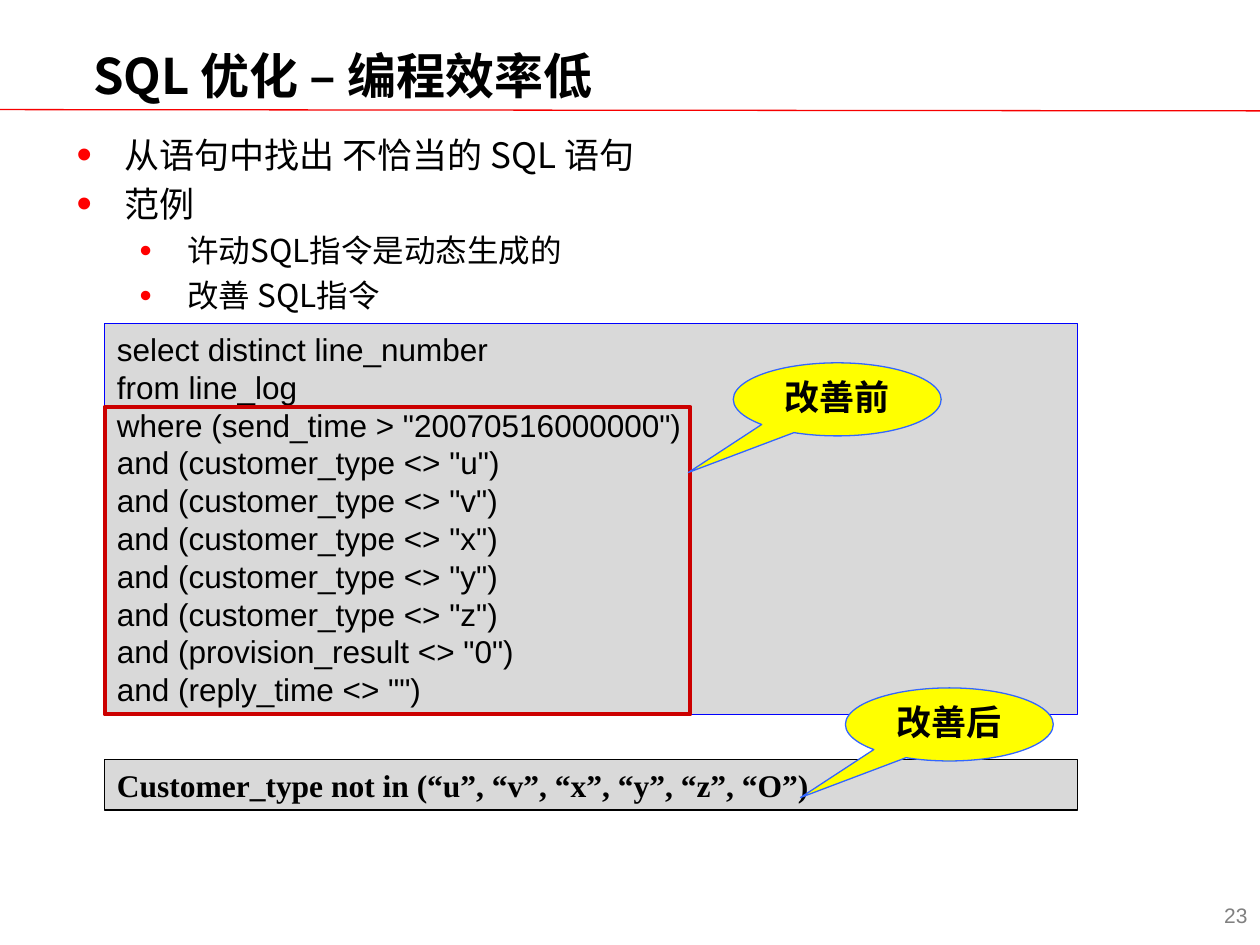
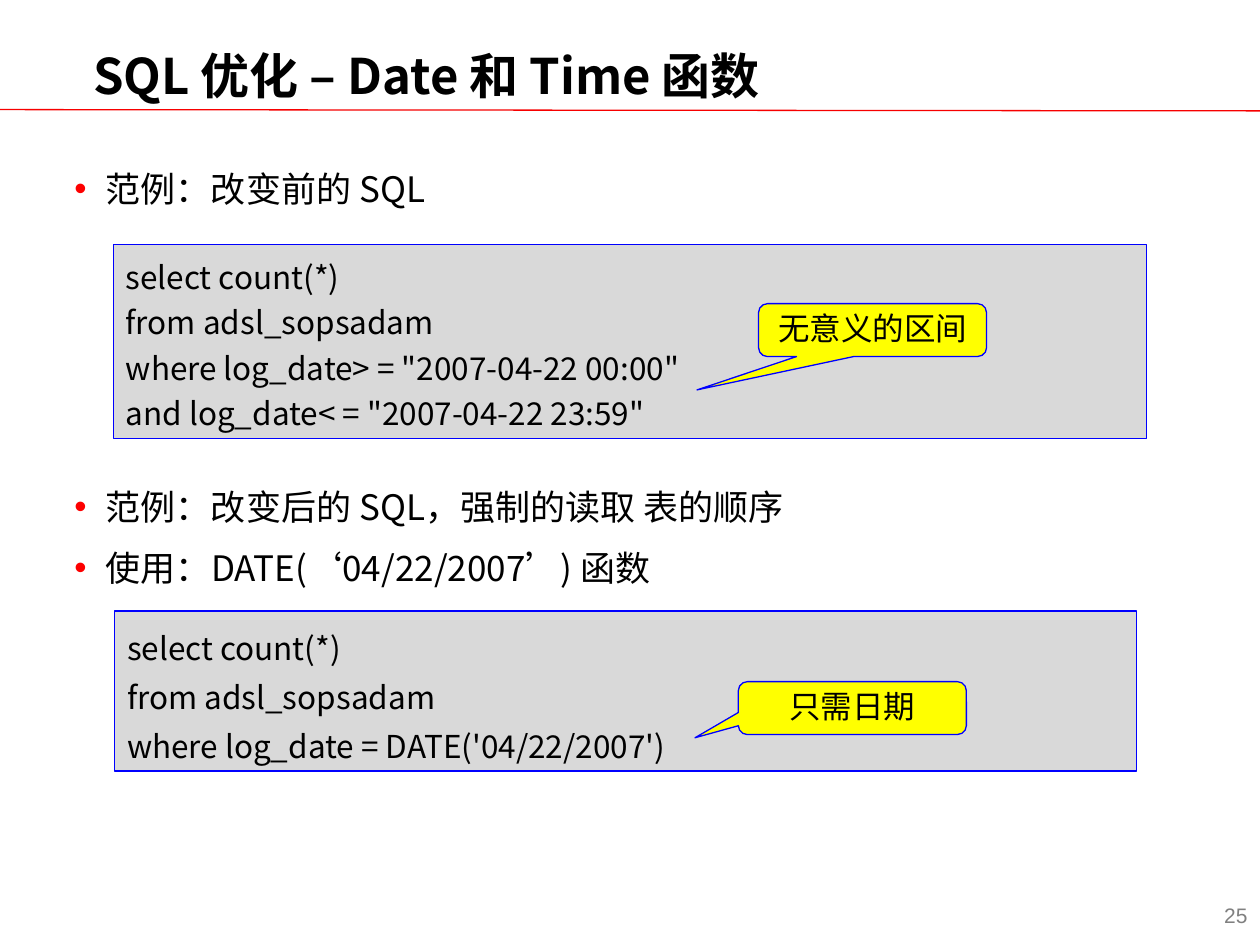
from lxml.etree import SubElement
from pptx import Presentation
from pptx.dml.color import RGBColor
from pptx.enum.shapes import MSO_CONNECTOR, MSO_SHAPE
from pptx.enum.text import MSO_ANCHOR, PP_ALIGN
from pptx.oxml.ns import qn
from pptx.util import Inches, Pt

SANS = "Noto Sans CJK SC"
BLACK, GREY, GOLD, BLUE = "000000", "D9D9D9", "FFFF00", "0000FF"
BOX = MSO_SHAPE.RECTANGLE
OVAL = MSO_SHAPE.OVAL_CALLOUT
ROUND = MSO_SHAPE.ROUNDED_RECTANGULAR_CALLOUT


def hue(code):
    return RGBColor.from_string(code)


def put(text, at, kind=None, fill=None, line=None, width=0.75, adj=(),
        size=18, face=SANS, color=BLACK, bold=False, align=PP_ALIGN.LEFT,
        anchor=MSO_ANCHOR.TOP, pad=(0.1, 0.05), lead=1, gap=0,
        dot=None, hang=0, zoom=None):
    """Place text; a list holds (level, text) paragraphs."""
    spot = [Inches(n) for n in at]
    if kind is None:
        shape = page.shapes.add_textbox(*spot)
    else:
        shape = page.shapes.add_shape(kind, *spot)
        shape.shadow.inherit = False
        if fill:
            shape.fill.solid()
            shape.fill.fore_color.rgb = hue(fill)
        else:
            shape.fill.background()
        shape.line.color.rgb = hue(line)
        shape.line.width = Pt(width)
        for i, n in enumerate(adj):
            shape.adjustments[i] = n
    if not text:
        return
    frame = shape.text_frame
    frame.word_wrap = True
    frame.vertical_anchor = anchor
    frame.margin_left = frame.margin_right = Inches(pad[0])
    frame.margin_top = frame.margin_bottom = Inches(pad[1])
    rows = [(0, text)] if isinstance(text, str) else text
    for i, (level, words) in enumerate(rows):
        para = frame.add_paragraph() if i else frame.paragraphs[0]
        para.text = words.replace("\n", "\v")
        para.alignment = align
        para.level = level
        points = size - 2 * level
        if dot:
            props = para._p.get_or_add_pPr()
            props.set("marL", str(Inches(hang + 0.5 * level)))
            props.set("indent", str(-Inches(hang)))
            tint = SubElement(props, qn("a:buClr"))
            SubElement(tint, qn("a:srgbClr"), val=dot)
            if zoom:
                SubElement(props, qn("a:buSzPct"), val=str(zoom[level] * 1000))
            SubElement(props, qn("a:buFont"), typeface="Arial")
            SubElement(props, qn("a:buChar"), char="•")
        para.line_spacing = Pt(round(points * 1.2 * lead, 1))
        para.space_before = Pt(gap if i else 0)
        for run in para.runs:
            font = run.font
            font.name, font.size, font.bold = face, Pt(points), bold
            font.color.rgb = hue(color)
            SubElement(run._r.get_or_add_rPr(), qn("a:ea"), typeface=SANS)


deck = Presentation()
deck.slide_width, deck.slide_height = Inches(10), Inches(7.5)

# Shared title, rule and page number
pages = []
for title, number in (("SQL 优化 – 编程效率低", "23"),
                      ("SQL 优化 – Date 和 Time 函数", "25")):
    page = deck.slides.add_slide(deck.slide_layouts[6])
    pages.append(page)
    rule = page.shapes.add_connector(
        MSO_CONNECTOR.STRAIGHT, 0, Inches(0.87), Inches(10), Inches(0.88))
    rule.line.color.rgb = hue("F70000")
    rule.line.width = Pt(0.75)
    SubElement(rule._element.spPr, qn("a:effectLst"))
    put(title, (0.74, 0.33, 8.52, 0.53), size=28, bold=True, pad=(0, 0),
        anchor=MSO_ANCHOR.MIDDLE)
    put(number, (0, 7.06, 10, 0.4), size=12, face="Arial", color="808080",
        align=PP_ALIGN.RIGHT, anchor=MSO_ANCHOR.MIDDLE)

# Slide 1: query before and after
page = pages[0]
query = """select distinct line_number
from line_log
where (send_time > "20070516000000")
and (customer_type <> "u")
and (customer_type <> "v")
and (customer_type <> "x")
and (customer_type <> "y")
and (customer_type <> "z")
and (provision_result <> "0")
and (reply_time <> "")"""
put(query, (0.83, 2.57, 7.72, 3.1), BOX, fill=GREY, line=BLUE, face="Arial")
put("", (0.83, 3.23, 4.65, 2.44), BOX, line="CC0000", width=2.25)
put("Customer_type not in (“u”, “v”, “x”, “y”, “z”, “O”)",
    (0.83, 6.03, 7.72, 0.4), BOX, fill=GREY, line=BLACK,
    face="Times New Roman", bold=True)
put([(0, "从语句中找出 不恰当的 SQL 语句"), (0, "范例"),
     (1, "许动SQL指令是动态生成的"), (1, "改善 SQL指令")],
    (0.51, 1.01, 9, 1.6), size=20, gap=4, dot="FF0000", hang=0.38,
    zoom=(125, 110))
for words, left, top in (("改善前", 5.82, 2.88), ("改善后", 6.71, 5.46)):
    put(words, (left, top, 1.65, 0.58), OVAL, fill=GOLD, line="3366FF",
        adj=(-0.716, 1.0), size=20, face="Arial", bold=True, lead=0.9,
        align=PP_ALIGN.CENTER)

# Slide 2: bullets
page = pages[1]
for rows, top, high in (
        ([(0, "范例：改变前的 SQL")], 1.33, 0.55),
        ([(0, "范例：改变后的 SQL，强制的读取 表的顺序"),
          (0, "使用：DATE(‘04/22/2007’) 函数")], 3.85, 1.02)):
    put(rows, (0.59, top, 8.24, high), size=20, pad=(0, 0), gap=11,
        dot="FD0000", hang=0.25)

# Slide 2: queries
first = """select count(*)
from adsl_sopsadam
where log_date> = "2007-04-22 00:00"
and log_date< = "2007-04-22 23:59\""""
second = """select count(*)
from adsl_sopsadam
where log_date = DATE('04/22/2007')"""
for words, at, lead in ((first, (0.9, 1.94, 8.2, 1.54), 1.2),
                        (second, (0.91, 4.85, 8.11, 1.27), 1.3)):
    put(words, at, BOX, fill=GREY, line=BLUE, lead=lead)

# Slide 2: callouts
for words, left, top, tip in (("只需日期", 5.86, 5.41, (-0.69, 0.56)),
                              ("无意义的区间", 6.02, 2.41, (-0.77, 1.13))):
    put(words, (left, top, 1.81, 0.42), ROUND, fill=GOLD, line=BLUE,
        adj=(*tip, 0.17), lead=0.9, align=PP_ALIGN.CENTER)

deck.save("out.pptx")
